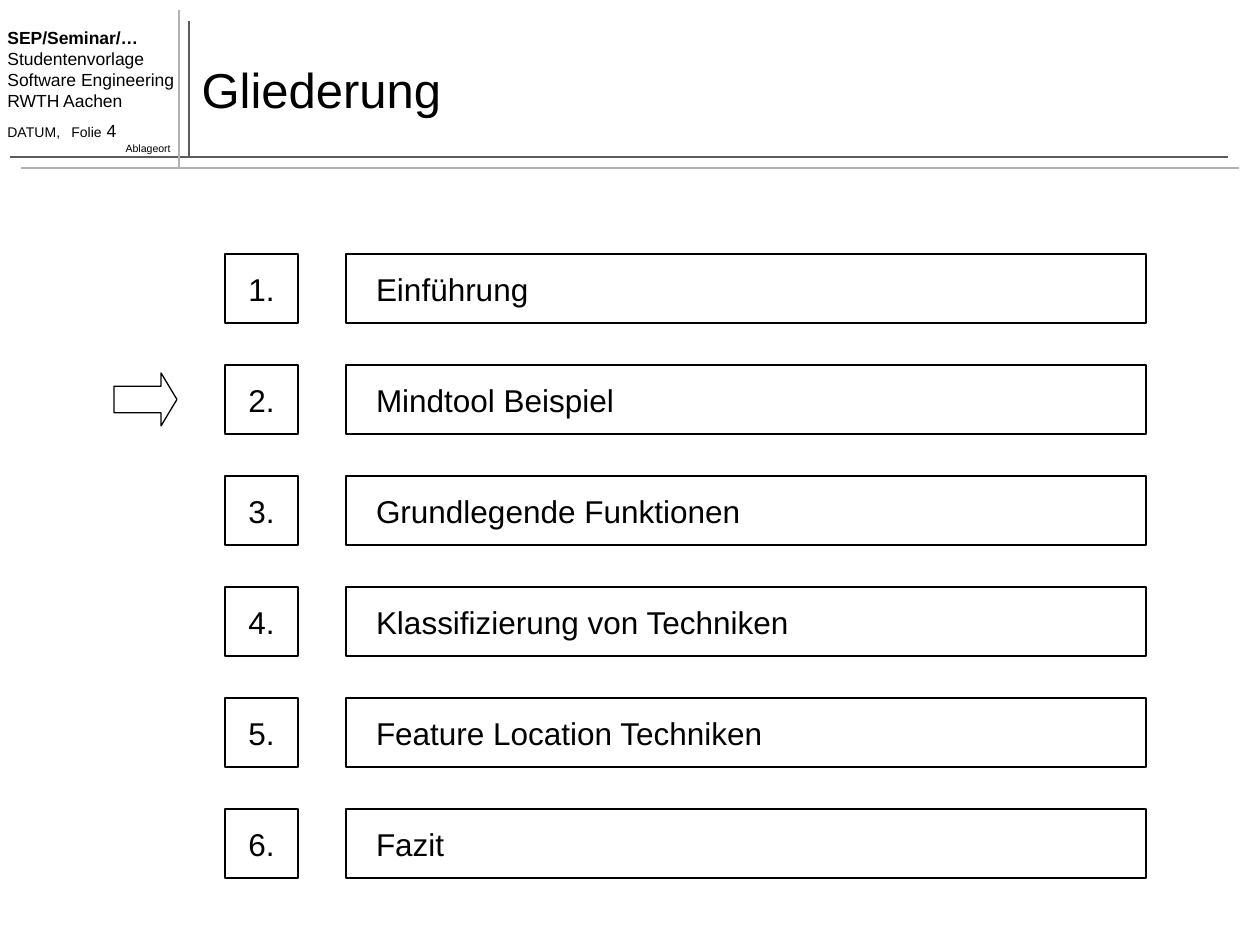
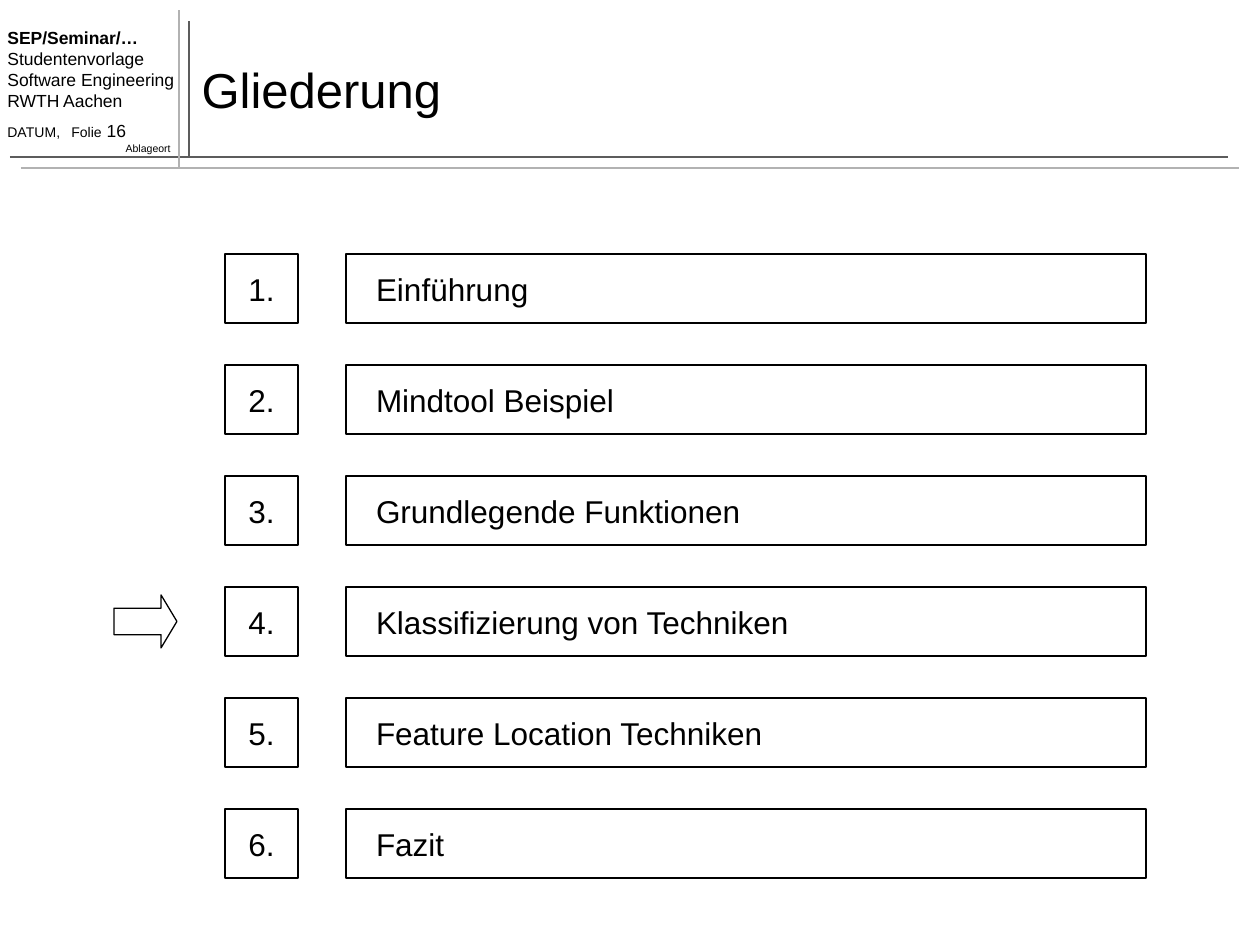
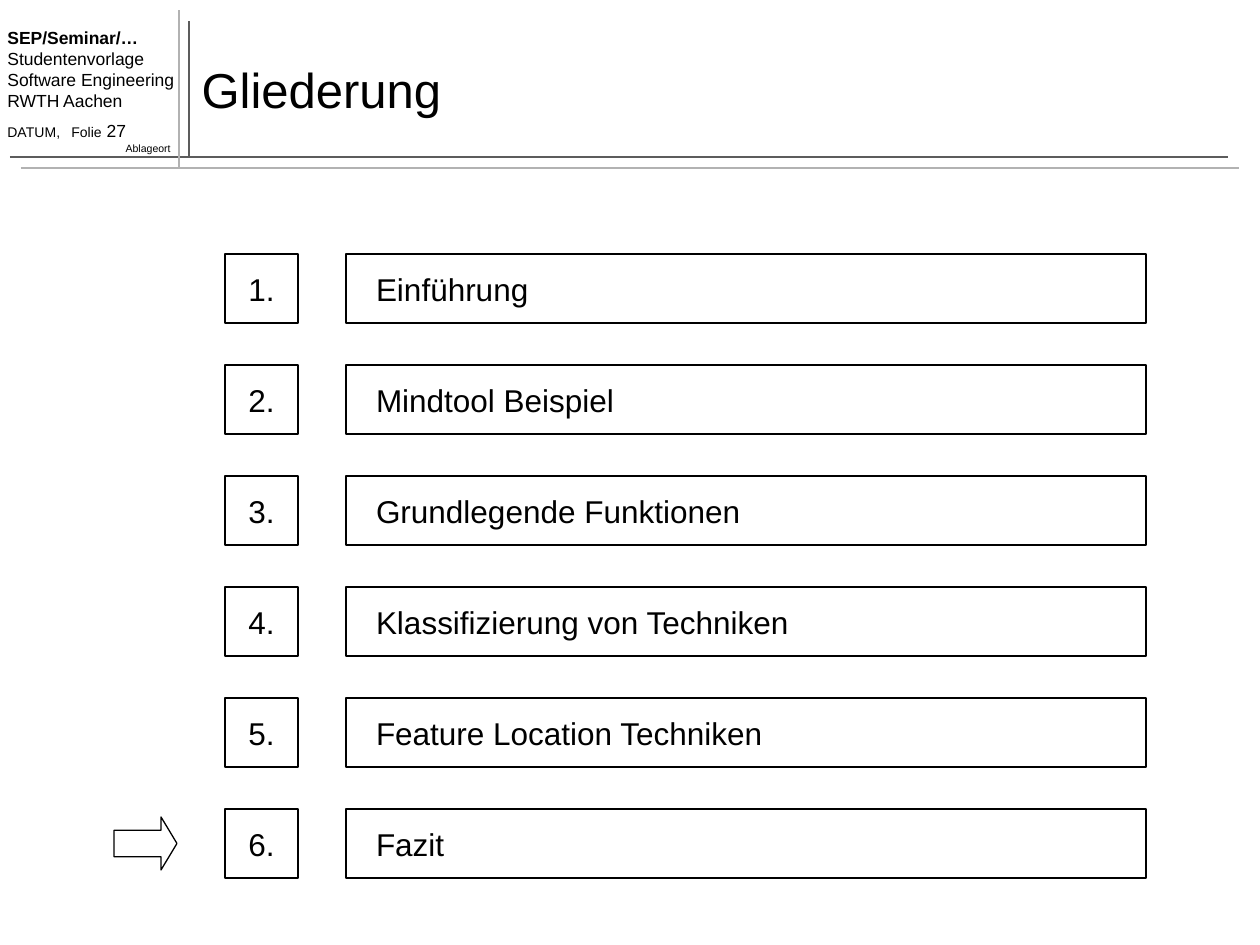
from lxml.etree import SubElement
from pptx import Presentation
from pptx.dml.color import RGBColor
from pptx.enum.shapes import MSO_CONNECTOR as Connector, MSO_SHAPE as Preset
from pptx.enum.text import MSO_ANCHOR as Anchor, MSO_AUTO_SIZE as AutoSize, PP_ALIGN as Align
from pptx.oxml.ns import qn
from pptx.util import Emu, Pt

EMU_PER_PX = 914400 / 126
FONT = "Arial"
BLACK, DARK_GREY, LIGHT_GREY = "000000", "5C5C5C", "B2B2B2"

RULES = [
    (189, 157, 189, 21, DARK_GREY),
    (10, 157, 1228, 157, DARK_GREY),
    (21, 168, 1239, 168, LIGHT_GREY),
    (179, 168, 179, 10, LIGHT_GREY),
]
SIDEBAR = ["SEP/Seminar/…", "Studentenvorlage\vSoftware Engineering", "RWTH Aachen"]
CHAPTERS = [
    "Einführung",
    "Mindtool Beispiel",
    "Grundlegende Funktionen",
    "Klassifizierung von Techniken",
    "Feature Location Techniken",
    "Fazit",
]
AGENDA_PAGES = [(4, 2), (16, 4), (27, 6)]
FIRST_ROW, ROW_STEP, ROW_HEIGHT = 254, 111, 69


def px(length):
    """Turn a length in px into EMU."""
    return Emu(round(length * EMU_PER_PX))


def color(code):
    """Turn a hex string into a colour."""
    return RGBColor.from_string(code)


def set_font(font, size, bold=False):
    """Apply the deck's typeface in black at the given size."""
    font.name, font.size, font.bold = FONT, Pt(size), bold
    font.color.rgb = color(BLACK)


def add_rule(page, x1, y1, x2, y2, code):
    """Draw one straight header line."""
    rule = page.shapes.add_connector(Connector.STRAIGHT, px(x1), px(y1), px(x2), px(y2))
    rule.line.color.rgb = color(code)
    rule.line.width = Pt(1)
    SubElement(rule._element.spPr, qn("a:effectLst"))


def add_text_box(page, left, top, width, height, wrap):
    """Add a text box and return its text frame."""
    box = page.shapes.add_textbox(px(left), px(top), px(width), px(height))
    frame = box.text_frame
    frame.word_wrap = wrap
    frame.auto_size = AutoSize.SHAPE_TO_FIT_TEXT
    return frame


def add_page_line(frame, number):
    """Append the date and page number, set apart by a tab stop."""
    para = frame.add_paragraph()
    para.space_before = Pt(5)
    tabs = SubElement(para._p.get_or_add_pPr(), qn("a:tabLst"))
    SubElement(tabs, qn("a:tab"), pos=str(px(64)), algn="l")
    for text, size in [("DATUM,\tFolie", 8), (f" {number}", 10)]:
        span = para.add_run()
        span.text = text
        set_font(span.font, size)


def add_sidebar(page, number):
    """Write the course details at the top left."""
    frame = add_text_box(page, -5, 21, 194, 130, True)
    for index, text in enumerate(SIDEBAR):
        para = frame.add_paragraph() if index else frame.paragraphs[0]
        para.text = text
        set_font(para.font, 10, bold=index == 0)
    add_page_line(frame, number)

    para = add_text_box(page, 112, 136, 71, 25, False).paragraphs[0]
    para.text = "Ablageort"
    para.alignment = Align.RIGHT
    set_font(para.font, 6)


def set_title(page, text):
    """Place and format the title placeholder."""
    title = page.shapes.title
    title.left, title.top, title.width, title.height = px(189), px(31), px(1050), px(116)
    frame = title.text_frame
    frame.text = text
    frame.vertical_anchor = Anchor.MIDDLE
    frame.auto_size = AutoSize.NONE
    para = frame.paragraphs[0]
    para.alignment = Align.LEFT
    set_font(para.font, 28)


def add_outline(group, preset, left, top, width, height):
    """Add an unfilled shape with a thin black line."""
    shape = group.shapes.add_shape(preset, px(left), px(top), px(width), px(height))
    shape.shadow.inherit = False
    shape.fill.background()
    shape.line.color.rgb = color(BLACK)
    shape.line.width = Pt(0.75)
    return shape


def add_label_box(group, left, top, width, text, alignment, inset):
    """Add an outlined box holding one line of text."""
    box = add_outline(group, Preset.RECTANGLE, left, top, width, ROW_HEIGHT)
    frame = box.text_frame
    frame.margin_left = frame.margin_right = px(inset)
    frame.vertical_anchor = Anchor.MIDDLE
    para = frame.paragraphs[0]
    para.text = text
    para.alignment = alignment
    set_font(para.font, 18)


def add_chapter(page, number, name, is_current):
    """Add one agenda row, with an arrow if it is the current one."""
    top = FIRST_ROW + (number - 1) * ROW_STEP
    group = page.shapes.add_group_shape()
    add_label_box(group, 346, top, 800, name, Align.LEFT, 30)
    add_label_box(group, 225, top, 73, f"{number}.", Align.CENTER, 0)
    if is_current:
        arrow = add_outline(group, Preset.RIGHT_ARROW, 114, top + 8, 63, 53)
        arrow.adjustments[0], arrow.adjustments[1] = 0.5, 0.3


def add_agenda_page(deck, page_number, current):
    """Add an agenda page pointing at the current chapter."""
    page = deck.slides.add_slide(deck.slide_layouts[5])
    for rule in RULES:
        add_rule(page, *rule)
    add_sidebar(page, page_number)
    set_title(page, "Gliederung")
    for number, name in enumerate(CHAPTERS, 1):
        add_chapter(page, number, name, number == current)


def main():
    """Build and save the deck."""
    deck = Presentation()
    deck.slide_width, deck.slide_height = px(1260), px(945)
    for page_number, current in AGENDA_PAGES:
        add_agenda_page(deck, page_number, current)
    deck.save("out.pptx")


if __name__ == "__main__":
    main()
